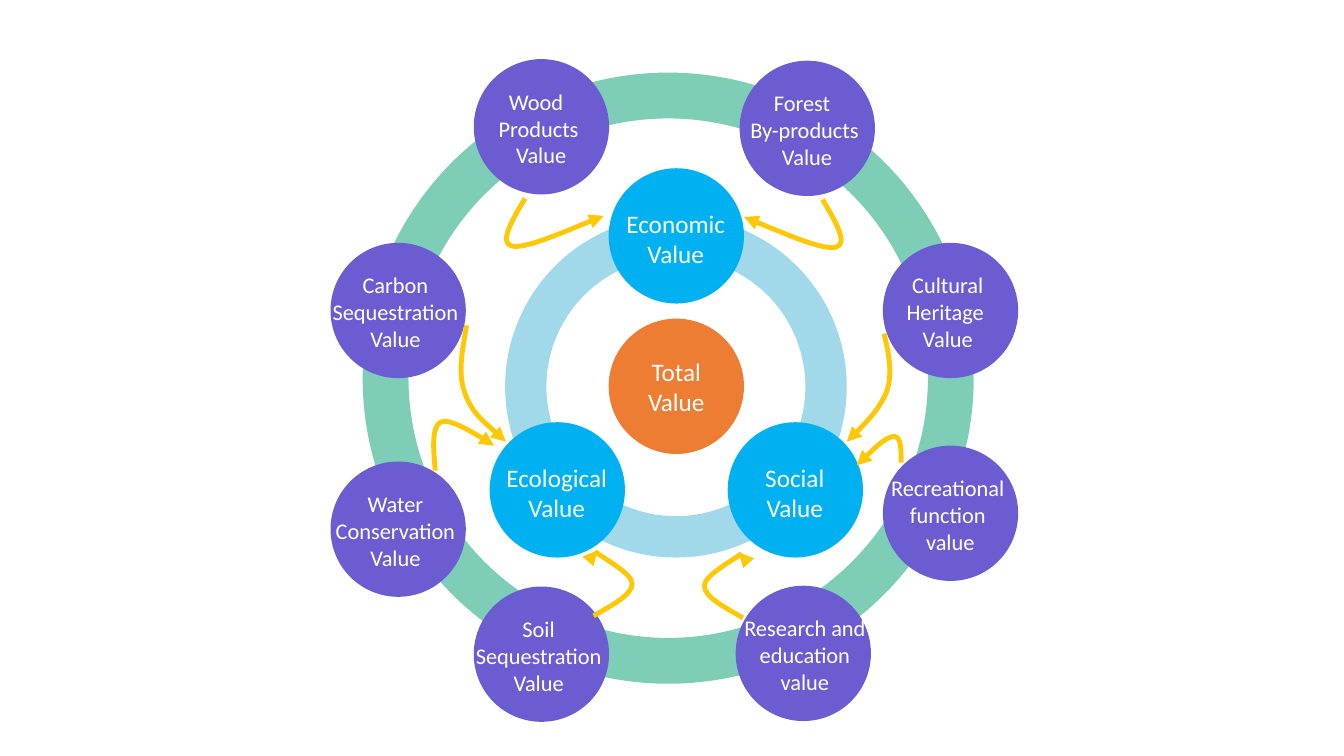
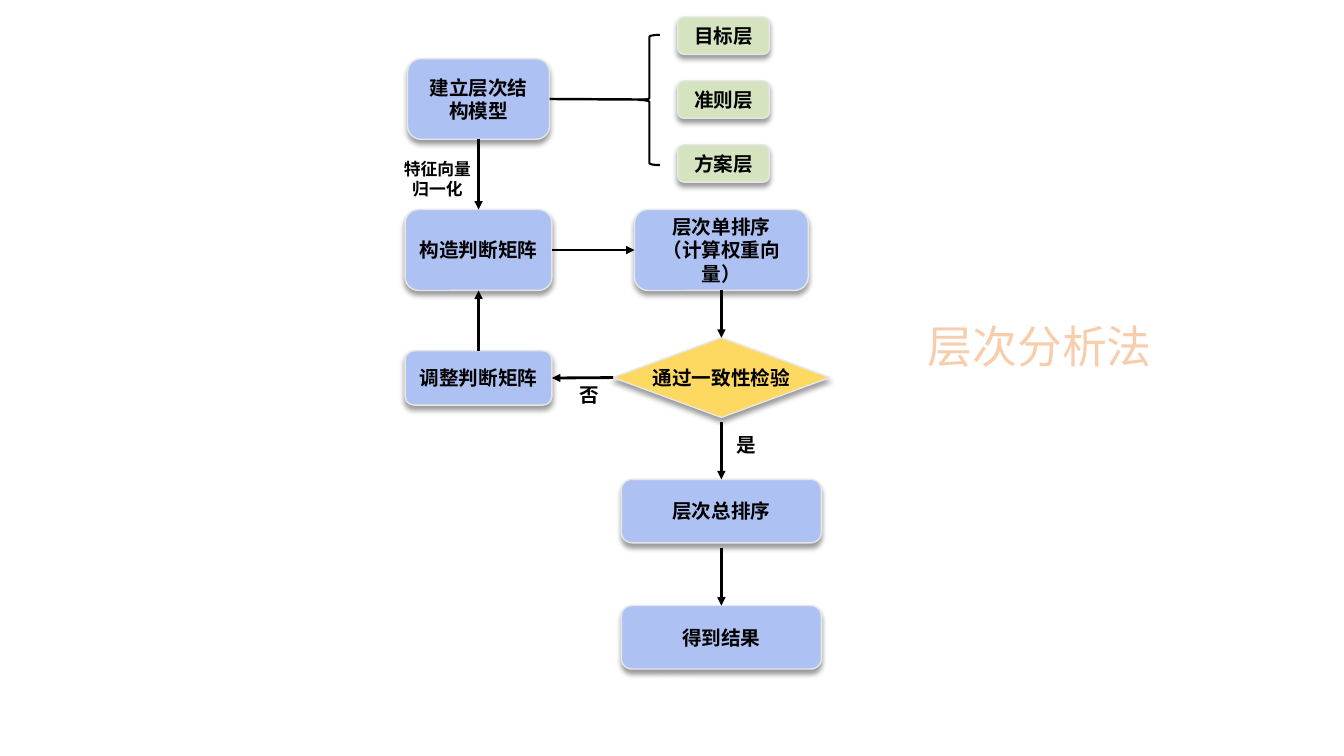
from lxml.etree import SubElement
from pptx import Presentation
from pptx.dml.color import RGBColor
from pptx.enum.shapes import MSO_CONNECTOR, MSO_SHAPE as SHAPE
from pptx.enum.text import MSO_ANCHOR as ANCHOR, MSO_AUTO_SIZE as AUTO_SIZE, PP_ALIGN as ALIGN
from pptx.oxml.ns import qn
from pptx.util import Cm, Pt

WHITE = RGBColor(0xFF, 0xFF, 0xFF)
BLACK = RGBColor(0x00, 0x00, 0x00)
ORANGE = RGBColor(0xED, 0x7D, 0x32)
GREEN_RING = RGBColor(0x7E, 0xCD, 0xB7)
BLUE_RING = RGBColor(0xA1, 0xD9, 0xEB)
SKY = RGBColor(0x00, 0xB1, 0xF1)
PURPLE = RGBColor(0x6B, 0x5D, 0xD1)
AMBER = RGBColor(0xFF, 0xC8, 0x04)
STEP_BLUE = RGBColor(0xAD, 0xC1, 0xF3)
LAYER_GREEN = RGBColor(0xD5, 0xE3, 0xBF)
CHECK_YELLOW = RGBColor(0xFE, 0xD9, 0x61)
EDGE_GREY = RGBColor(0xE7, 0xE6, 0xE6)
PEACH = RGBColor(0xF8, 0xCD, 0xAC)
TITLE_EDGE = RGBColor(0xEE, 0x82, 0x2F)

CENTRE_FONT = {"name": "Calibri", "size": Pt(18)}
VALUE_FONT = {"name": "Calibri", "size": Pt(16)}
STEP_FONT = {"name": "Arial", "size": Pt(14), "bold": True}
NOTE_FONT = {"name": "Arial", "size": Pt(12), "bold": True}
TITLE_FONT = {"name": "Calibri", "size": Pt(32)}
GROWING = {"auto_size": AUTO_SIZE.SHAPE_TO_FIT_TEXT}

CIRCLE = 3.41
INNER_LABEL = (0.09, 0.89, 3.2, 1.8)
OUTER_LABEL = (-0.41, 0.6, 4.09, 2.31)
RESEARCH_LABEL = (-0.2, 0.6, 3.89, 2.31)
BOUND_STEPS = 40

INNER_VALUES = [
    (15.34, 4.24, ["Economic", "Value"]),
    (12.34, 10.64, ["Ecological", "Value"]),
    (18.34, 10.64, ["Social", "Value"]),
]
OUTER_VALUES = [
    (8.33, 6.12, ["Carbon Sequestration Value"], OUTER_LABEL),
    (8.33, 11.63, ["Water Conservation Value"], OUTER_LABEL),
    (11.94, 14.78, ["Soil Sequestration Value"], OUTER_LABEL),
    (11.94, 1.49, ["Wood ", "Products", " Value"], OUTER_LABEL),
    (18.64, 1.53, ["Forest ", "By-products", " Value"], OUTER_LABEL),
    (22.25, 11.23, ["Recreational function", " value"], OUTER_LABEL),
    (18.54, 14.76, ["Research and education value"], RESEARCH_LABEL),
    (22.25, 6.12, ["Cultural Heritage ", "Value"], OUTER_LABEL),
]

WOOD_CURVE = [(13.23, 5), (12.9, 5.56), (12.57, 6.12), (12.9, 6.2),
              (13.23, 6.27), (14.22, 5.84), (15.21, 5.44)]
SOIL_CURVE = [(14.96, 15.52), (15.44, 15.24), (15.93, 14.99), (15.93, 14.71),
              (15.93, 14.45), (15.11, 14.02), (14.96, 13.87),
              (14.81, 13.74), (14.94, 13.79), (15.06, 13.87)]
WATER_CURVE = [(10.97, 11.86), (10.92, 11.33), (10.87, 10.77), (11.1, 10.64),
               (11.33, 10.52), (12.09, 11.02), (12.32, 11.13),
               (12.55, 11.23), (12.5, 11.23), (12.45, 11.23)]
CARBON_CURVE = [(11.76, 8.2), (11.66, 8.79), (11.53, 9.4), (11.71, 9.88),
                (11.86, 10.36), (12.32, 10.74), (12.75, 11.13)]
CULTURE_CURVE = [(22.28, 8.41), (22.4, 8.92), (22.5, 9.4), (22.35, 9.86),
                 (22.17, 10.29), (21.77, 10.72), (21.34, 11.13)]
RECREATION_CURVE = [(22.71, 11.66), (22.71, 11.3), (22.71, 11), (22.53, 11),
                    (22.35, 11), (21.97, 11.35), (21.59, 11.73)]


def apply_format(target, values):
    for name, value in values.items():
        setattr(target, name, value)


def write_text(shape, lines, font, color, align=ALIGN.CENTER, **frame_format):
    frame = shape.text_frame
    apply_format(frame, {"word_wrap": True, **frame_format})
    for index, line in enumerate(lines):
        paragraph = frame.paragraphs[0] if index == 0 else frame.add_paragraph()
        paragraph.alignment = align
        run = paragraph.add_run()
        run.text = line
        apply_format(run.font, font)
        run.font.color.rgb = color


def set_line(shape, color, width):
    shape.line.color.rgb = color
    shape.line.width = Pt(width)


def add_arrowhead(shape):
    line = shape._element.spPr.find(qn("a:ln"))
    SubElement(line, qn("a:tailEnd"), type="triangle")


def add_figure(slide, kind, left, top, width, height, fill):
    figure = slide.shapes.add_shape(kind, Cm(left), Cm(top), Cm(width), Cm(height))
    figure.shadow.inherit = False
    figure.fill.solid()
    figure.fill.fore_color.rgb = fill
    figure.line.fill.background()
    return figure


def add_label(slide, left, top, width, height, lines, font, color=BLACK,
              align=ALIGN.LEFT, **frame_format):
    label = slide.shapes.add_textbox(Cm(left), Cm(top), Cm(width), Cm(height))
    write_text(label, lines, font, color, align, **frame_format)
    return label


def add_value(slide, left, top, lines, fill, font, label_box):
    add_figure(slide, SHAPE.OVAL, left, top, CIRCLE, CIRCLE, fill)
    shift, drop, width, height = label_box
    add_label(slide, left + shift, top + drop, width, height, lines, font, WHITE,
              ALIGN.CENTER, **GROWING)


def add_ring(slide, left, top, size, thickness, fill):
    ring = add_figure(slide, SHAPE.DONUT, left, top, size, size, fill)
    ring.adjustments[0] = thickness


def bezier_value(a, b, c, d, t):
    return (a * (1 - t) ** 3 + 3 * b * t * (1 - t) ** 2
            + 3 * c * t ** 2 * (1 - t) + d * t ** 3)


def curve_bounds(values):
    reached = [bezier_value(*values[first:first + 4], step / BOUND_STEPS)
               for first in range(0, len(values) - 1, 3)
               for step in range(BOUND_STEPS + 1)]
    return Cm(min(reached)), Cm(max(reached))


def add_curved_arrow(slide, controls):
    (left, right), (top, bottom) = map(curve_bounds, zip(*controls))
    builder = slide.shapes.build_freeform(left, top)
    builder.add_line_segments([(right, bottom)], close=False)
    arrow = builder.convert_to_shape()
    outline = next(arrow._element.iter(qn("a:path")))
    for child in list(outline):
        outline.remove(child)
    for index, (x, y) in enumerate(controls):
        if index == 0:
            segment = SubElement(outline, qn("a:moveTo"))
        elif index % 3 == 1:
            segment = SubElement(outline, qn("a:cubicBezTo"))
        SubElement(segment, qn("a:pt"), x=str(Cm(x) - left), y=str(Cm(y) - top))
    arrow.shadow.inherit = False
    arrow.fill.background()
    set_line(arrow, AMBER, 3.5)
    add_arrowhead(arrow)


def mirrored(controls, axis, drop):
    return [(2 * axis - x, y + drop) for x, y in controls]


def add_soft_shadow(shape):
    effects = shape._element.spPr.find(qn("a:effectLst"))
    shadow = SubElement(effects, qn("a:outerShdw"), blurRad=str(Pt(4)),
                        dist=str(Pt(3)), dir="5400000", rotWithShape="0")
    color = SubElement(shadow, qn("a:srgbClr"), val=str(BLACK))
    SubElement(color, qn("a:alpha"), val="40000")


def add_step(slide, left, top, width, height, lines, fill=STEP_BLUE,
             kind=SHAPE.ROUNDED_RECTANGLE, wrap=True):
    step = add_figure(slide, kind, left, top, width, height, fill)
    set_line(step, EDGE_GREY, 1)
    add_soft_shadow(step)
    write_text(step, lines, STEP_FONT, BLACK, word_wrap=wrap,
               vertical_anchor=ANCHOR.MIDDLE)
    return step


def add_link(slide, start, end, source=None, target=None, width=2, arrow=True):
    link = slide.shapes.add_connector(MSO_CONNECTOR.STRAIGHT, *map(Cm, start + end))
    if source:
        link.begin_connect(*source)
    if target:
        link.end_connect(*target)
    set_line(link, BLACK, width)
    SubElement(link._element.spPr, qn("a:effectLst"))
    if arrow:
        add_arrowhead(link)


def outline_text(label, color, width):
    properties = label.text_frame.paragraphs[0].runs[0].font._element
    outline = properties.makeelement(qn("a:ln"), w=str(Pt(width)))
    fill = SubElement(outline, qn("a:solidFill"))
    SubElement(fill, qn("a:srgbClr"), val=str(color))
    properties.insert(0, outline)


def build_value_wheel(slide):
    total = add_figure(slide, SHAPE.OVAL, 15.34, 8.03, CIRCLE, CIRCLE, ORANGE)
    write_text(total, ["Total", "Value"], CENTRE_FONT, WHITE,
               vertical_anchor=ANCHOR.MIDDLE)
    add_ring(slide, 9.14, 1.83, 15.4, 0.075, GREEN_RING)
    add_ring(slide, 12.73, 5.44, 8.61, 0.121, BLUE_RING)
    for left, top, lines in INNER_VALUES:
        add_value(slide, left, top, lines, SKY, CENTRE_FONT, INNER_LABEL)
    for left, top, lines, label_box in OUTER_VALUES:
        add_value(slide, left, top, lines, PURPLE, VALUE_FONT, label_box)
    for curve in (SOIL_CURVE, mirrored(SOIL_CURVE, 16.84, 0.05), WATER_CURVE,
                  CULTURE_CURVE, CARBON_CURVE, RECREATION_CURVE,
                  WOOD_CURVE, mirrored(WOOD_CURVE, 16.98, 0.03)):
        add_curved_arrow(slide, curve)


def build_hierarchy_process(slide):
    title = add_label(slide, 23.13, 7.9, 6.3, 2.26, ["层次分析法"], TITLE_FONT, PEACH)
    outline_text(title, TITLE_EDGE, 1.75)

    model = add_step(slide, 10.27, 1.48, 3.58, 2.03, ["建立层次结构模型"])
    for index, layer in enumerate(["目标层", "准则层", "方案层"]):
        add_step(slide, 17.08, 0.43 + 1.61 * index, 2.31, 0.94, [layer], LAYER_GREEN)
    brace = add_figure(slide, SHAPE.LEFT_BRACE, 16.1, 0.88, 0.53, 3.28, WHITE)
    brace.fill.background()
    set_line(brace, BLACK, 1.5)

    matrix = add_step(slide, 10.21, 5.28, 3.7, 2.04, ["构造判断矩阵"])
    adjust = add_step(slide, 10.21, 8.84, 3.7, 1.37, ["调整判断矩阵"])
    ranking = add_step(slide, 15.99, 5.28, 4.38, 2.04,
                       ["层次单排序", "（计算权重向量）"])
    check = add_step(slide, 15.45, 8.51, 5.46, 2.01, ["通过一致性检验"],
                     CHECK_YELLOW, SHAPE.DIAMOND, wrap=False)
    total = add_step(slide, 15.66, 12.08, 5.04, 1.6, ["层次总排序"])
    result = add_step(slide, 15.66, 15.26, 5.04, 1.6, ["得到结果"])

    add_link(slide, (13.85, 2.5), (16.28, 2.51), (model, 3), width=1.75, arrow=False)
    for source, target in (((model, 2), (matrix, 0)), ((matrix, 3), (ranking, 1)),
                           ((ranking, 2), (check, 0)), ((check, 1), (adjust, 3)),
                           ((adjust, 0), (matrix, 2))):
        add_link(slide, (0, 0), (0, 0), source, target)
    for step, start in ((total, 10.64), (result, 13.82)):
        add_link(slide, (18.18, start), (18.18, start + 1.44), target=(step, 0))

    add_label(slide, 9.78, 3.87, 2.49, 1.27, ["特征向量", "归一化"], NOTE_FONT,
              align=ALIGN.CENTER, **GROWING)
    add_label(slide, 14.35, 9.53, 1.3, 0.86, ["否"], STEP_FONT, **GROWING)
    add_label(slide, 18.31, 10.78, 1.5, 0.86, ["是"], STEP_FONT, **GROWING)


def main():
    deck = Presentation()
    apply_format(deck, {"slide_width": Cm(33.87), "slide_height": Cm(19.05)})
    for build in (build_value_wheel, build_hierarchy_process):
        build(deck.slides.add_slide(deck.slide_layouts[6]))
    deck.save("out.pptx")


if __name__ == "__main__":
    main()
